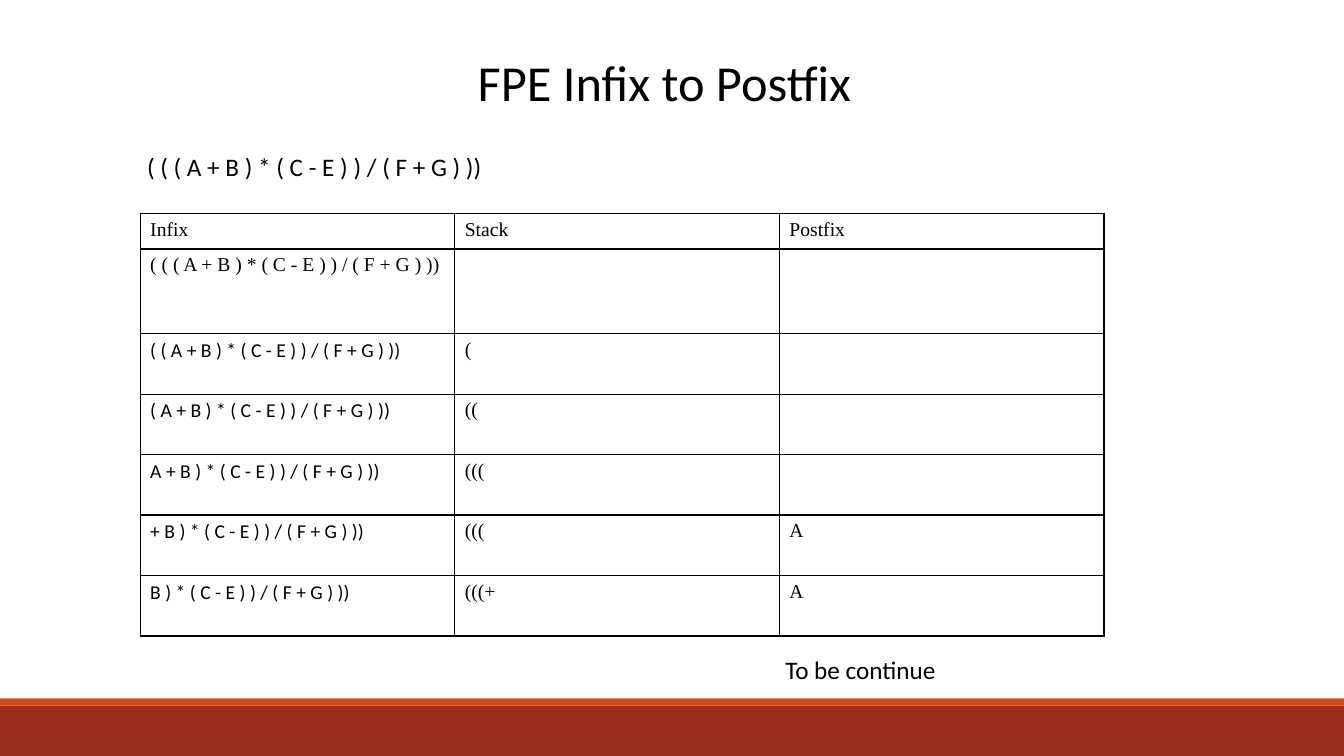
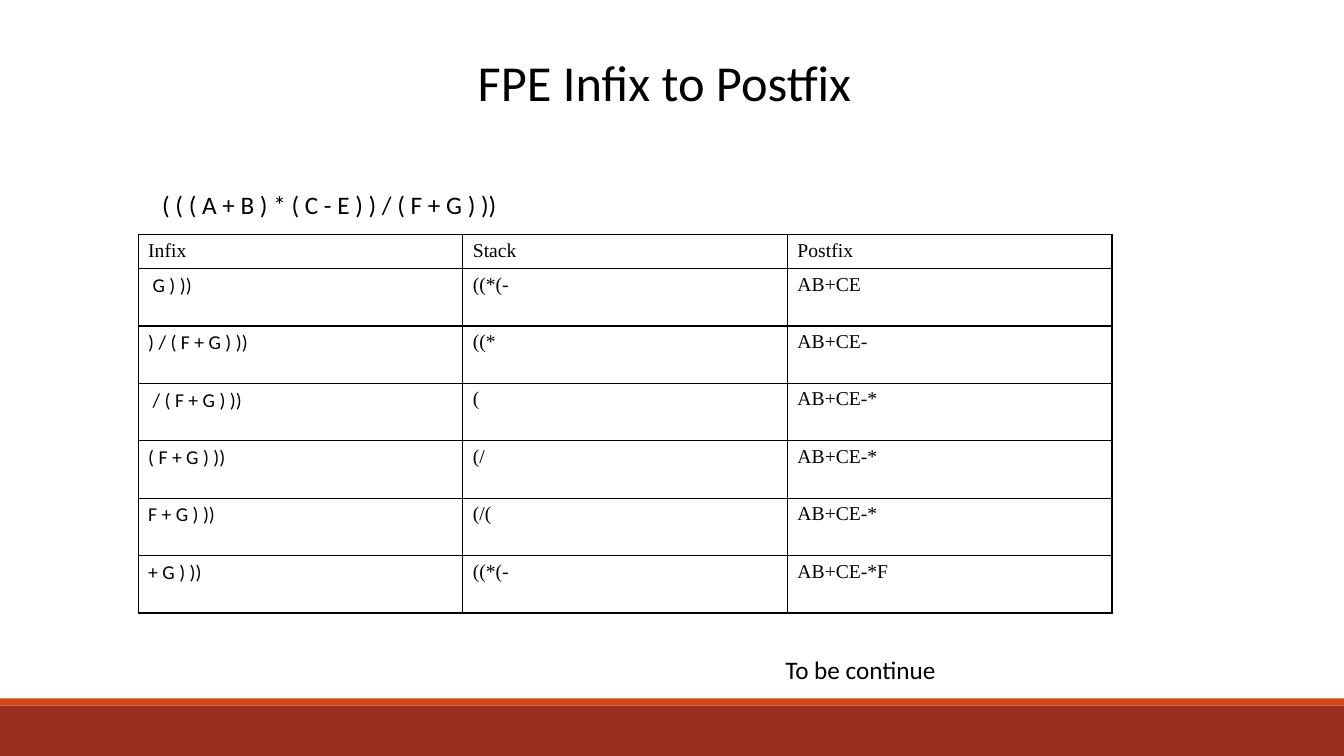
from pptx import Presentation
from pptx.dml.color import RGBColor
from pptx.enum.shapes import MSO_SHAPE
from pptx.oxml import parse_xml
from pptx.oxml.ns import nsdecls
from pptx.util import Inches, Pt

BLACK = RGBColor(0x00, 0x00, 0x00)
RED = RGBColor(0x9B, 0x2D, 0x1F)
ORANGE = RGBColor(0xD3, 0x48, 0x17)
SANS, SERIF = "Calibri", "Times New Roman"
WIDTH, HEIGHT = 13.33, 7.5
BAND_H, STRIPE_H = 0.5, 0.07
INDENT = 0.5
HEADER = ("Infix", "Stack", "Postfix")
EXPRESSION = "( ( ( A + B ) * ( C - E ) ) / ( F + G ) ))"

STACKS = ("", "(", "((", "(((", "(((", "(((+")
OUTPUTS = ("", "", "", "", "A", "A")
FIRST_STEPS = [(EXPRESSION[2 * i:], stack, output)
               for i, (stack, output) in enumerate(zip(STACKS, OUTPUTS))]
LATER_STEPS = [
    (" G ) ))", "((*(-", "AB+CE"),
    (") / ( F + G ) ))", "((*", "AB+CE-"),
    (" / ( F + G ) ))", "(", "AB+CE-*"),
    ("( F + G ) ))", "(/", "AB+CE-*"),
    ("F + G ) ))", "(/(", "AB+CE-*"),
    ("+ G ) ))", "((*(-", "AB+CE-*F"),
]


def style_text(tf, size, font):
    """Give every run of a text frame its size, font and colour."""
    for p in tf.paragraphs:
        for r in p.runs:
            r.font.size, r.font.name = Pt(size), font
            r.font.color.rgb = BLACK


def add_text(s, text, box, size, indent=0):
    """Place one line of text in a box, with an optional left indent."""
    tf = s.shapes.add_textbox(*map(Inches, box)).text_frame
    tf.word_wrap = True
    tf.text = text
    style_text(tf, size, SANS)
    if indent:
        pPr = tf.paragraphs[0]._p.get_or_add_pPr()
        pPr.set("marL", str(Inches(indent)))
        pPr.set("indent", "0")


def add_band(s, top, height, color):
    """Draw a band across the whole slide."""
    sp = s.shapes.add_shape(MSO_SHAPE.RECTANGLE, 0, Inches(top),
                            Inches(WIDTH), Inches(height))
    sp.shadow.inherit = False
    sp.fill.solid()
    sp.fill.fore_color.rgb = color
    sp.line.fill.background()


def add_frame(s):
    """Add the bands, title and closing line that the slides share."""
    band_top = HEIGHT - BAND_H
    add_band(s, band_top, BAND_H, RED)
    add_band(s, band_top - STRIPE_H, STRIPE_H, ORANGE)
    add_text(s, "FPE Infix to Postfix", (4.64, 0.46, 4.06, 0.71), 36)
    add_text(s, "To be continue", (7.69, 6.44, 3.06, 0.4), 18)


def border_cell(cell):
    """Draw a thin line on all four sides of a cell."""
    tcPr = cell._tc.get_or_add_tcPr()
    for i, side in enumerate("LRTB"):
        tcPr.insert(i, parse_xml(
            f'<a:ln{side} {nsdecls("a")} w="{Pt(1)}"><a:solidFill>'
            f'<a:srgbClr val="{BLACK}"/></a:solidFill></a:ln{side}>'))


def add_steps(s, steps, left, top, col_widths, row_heights):
    """Build the conversion table, one step to a row."""
    rows = [HEADER, *steps]
    box = (left, top, sum(col_widths), sum(row_heights))
    table = s.shapes.add_table(len(rows), len(HEADER), *map(Inches, box)).table
    table.first_row = table.horz_banding = False
    for column, width in zip(table.columns, col_widths):
        column.width = Inches(width)
    for i, (row, height, values) in enumerate(zip(table.rows, row_heights, rows)):
        row.height = Inches(height)
        for j, (cell, text) in enumerate(zip(row.cells, values)):
            cell.fill.background()
            border_cell(cell)
            cell.text = text
            partial = i > 0 and j == 0 and text != EXPRESSION
            style_text(cell.text_frame, 14, SANS if partial else SERIF)


def add_conversion_slide(prs, expression_at, steps, table_at, col_widths, row_heights):
    """Add a slide with the expression above its conversion table."""
    s = prs.slides.add_slide(prs.slide_layouts[6])
    add_frame(s)
    add_text(s, EXPRESSION, (*expression_at, 8.78, 0.4), 18, INDENT)
    add_steps(s, steps, *table_at, col_widths, row_heights)


def main():
    """Build and save the presentation."""
    prs = Presentation()
    prs.slide_width, prs.slide_height = Inches(WIDTH), Inches(HEIGHT)
    add_conversion_slide(prs, (0.86, 1.45), FIRST_STEPS, (1.39, 2.12),
                         (3.12, 3.22, 3.22), [0.35, 0.84] + [0.6] * 5)
    add_conversion_slide(prs, (1.01, 1.83), LATER_STEPS, (1.37, 2.33),
                         [3.22] * 3, [0.33] + [0.57] * 6)
    prs.save("out.pptx")


if __name__ == "__main__":
    main()
